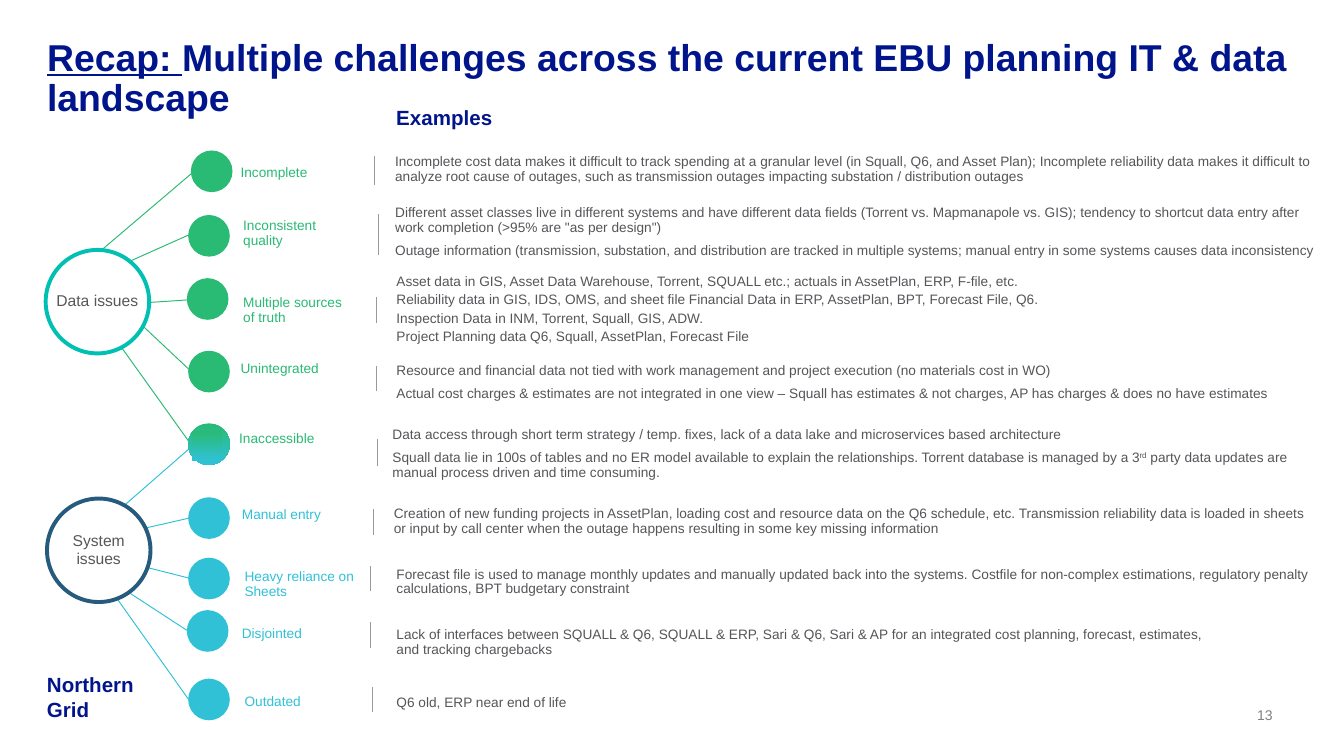
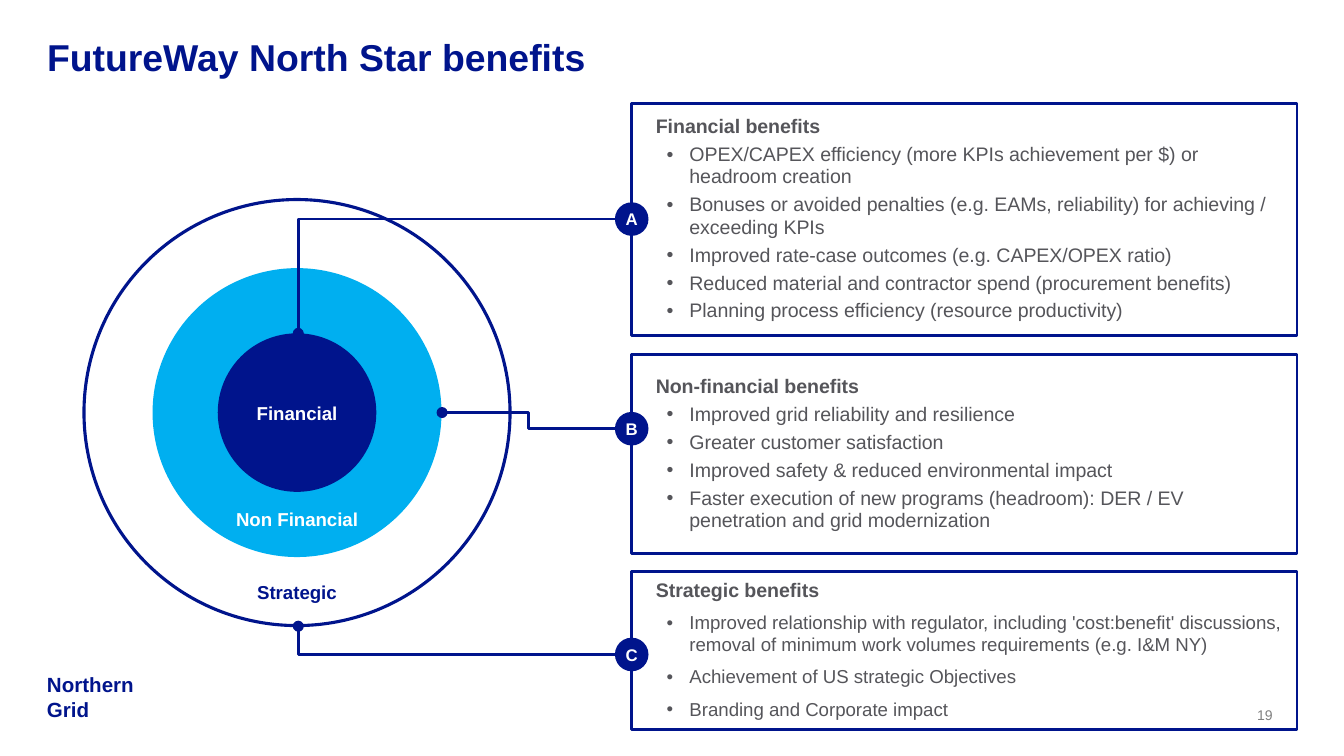
from dataclasses import dataclass
from lxml import etree
from pptx import Presentation
from pptx.dml.color import RGBColor
from pptx.enum import shapes, text
from pptx.oxml import ns
from pptx.util import Inches, Pt


@dataclass(frozen=True)
class Theme:
    font: str = "Arial"
    navy: str = "00148C"
    sky: str = "00AFF0"
    green: str = "29BA74"
    cyan: str = "30C1D7"
    teal: str = "00BFB3"
    steel: str = "265B7D"
    ink: str = "55555A"
    hub_ink: str = "575757"
    tick: str = "9A9A9A"
    number: str = "808080"
    white: str = "FFFFFF"
    title: float = 20
    head: float = 11
    benefit: float = 10.5
    ring: float = 10
    badge: float = 9
    hub: float = 8.4
    number_size: float = 7.5
    small: float = 7.3
    hair: float = 0.52
    rule: float = 1.5
    hub_line: float = 2.1


T = Theme()
BLEND = (T.green, T.cyan)
COMPANY = "Northern Grid"

RECAP = {
    "number": "13",
    "title": ["Recap: ", "Multiple challenges across the current EBU planning IT & data landscape"],
    "title_height": 0.61,
    "heading": "Examples",
}
HUBS = [
    ("Data issues", 0.34, 1.86, T.teal, False),
    ("System issues", 0.35, 3.71, T.steel, True),
]
SPOKES = {
    T.green: [
        (0.8, 2.44, 1.43, 3.32), (0.58, 2.01, 1.45, 1.27), (0.46, 2.17, 1.4, 1.75),
        (1.12, 2.25, 1.42, 2.23), (1.44, 2.78, 0.95, 2.32),
    ],
    T.cyan: [
        (1.43, 3.85, 0.77, 4), (1.43, 3.32, 0.72, 3.94), (0.77, 4.14, 1.4, 4.3),
        (0.67, 4.22, 1.39, 4.69), (0.74, 4.27, 1.4, 5.2),
    ],
}
ISSUES = [
    ("Incomplete", T.green, T.green, (1.42, 1.12), (1.79, 1.23, 0.66, 0.11),
     (2.79, 1.16, 1.38), (2.94, 1.15, 6.96, 0.22), 4.5,
     ["Incomplete cost data makes it difficult to track spending at a granular level (in Squall, Q6, and Asset Plan); Incomplete reliability data makes it difficult to analyze root cause of outages, such as transmission outages impacting substation / distribution outages"]),
    ("Inconsistent quality", T.green, T.green, (1.4, 1.6), (1.81, 1.63, 0.66, 0.22),
     (2.82, 1.59, 1.9), (2.94, 1.53, 6.88, 0.4), 4.5,
     ["Different asset classes live in different systems and have different data fields (Torrent vs. Mapmanapole vs. GIS); tendency to shortcut data entry after work completion (>95% are \"as per design\")",
      "Outage information (transmission, substation, and distribution are tracked in multiple systems; manual entry in some systems causes data inconsistency"]),
    ("Multiple sources of truth", T.green, T.green, (1.39, 2.07), (1.81, 2.2, 0.83, 0.22),
     (2.8, 2.21, 2.4), (2.95, 2.04, 6.88, 0.53), 2,
     ["Asset data in GIS, Asset Data Warehouse, Torrent, SQUALL etc.; actuals in AssetPlan, ERP, F-file, etc.",
      "Reliability data in GIS, IDS, OMS, and sheet file Financial Data in ERP, AssetPlan, BPT, Forecast File, Q6.",
      "Inspection Data in INM, Torrent, Squall, GIS, ADW.",
      "Project Planning data Q6, Squall, AssetPlan, Forecast File"]),
    ("Unintegrated", T.green, T.green, (1.4, 2.61), (1.79, 2.69, 0.83, 0.11),
     (2.8, 2.72, 2.91), (2.95, 2.7, 6.7, 0.29), 4.5,
     ["Resource and financial data not tied with work management and project execution (no materials cost in WO)",
      "Actual cost charges & estimates are not integrated in one view – Squall has estimates & not charges, AP has charges & does no have estimates"]),
    ("Inaccessible", T.green, BLEND, (1.4, 3.15), (1.78, 3.21, 0.83, 0.11),
     (2.81, 3.27, 3.47), (2.92, 3.18, 6.99, 0.4), 4.5,
     ["Data access through short term strategy / temp. fixes, lack of a data lake and microservices based architecture",
      "Squall data lie in 100s of tables and no ER model available to explain the relationships. Torrent database is managed by a 3^rd^ party data updates are manual process driven and time consuming."]),
    ("Manual entry", T.cyan, T.cyan, (1.4, 3.7), (1.8, 3.78, 0.83, 0.11),
     (2.78, 3.79, 3.98), (2.93, 3.77, 6.79, 0.22), 4.5,
     ["Creation of new funding projects in AssetPlan, loading cost and resource data on the Q6 schedule, etc. Transmission reliability data is loaded in sheets or input by call center when the outage happens resulting in some key missing information"]),
    ("Heavy reliance on Sheets", T.cyan, T.cyan, (1.4, 4.15), (1.82, 4.24, 0.83, 0.22),
     (2.76, 4.21, 4.4), (2.95, 4.22, 6.87, 0.22), 4.5,
     ["Forecast file is used to manage monthly updates and manually updated back into the systems. Costfile for non-complex estimations, regulatory penalty calculations, BPT budgetary constraint"]),
    ("Disjointed", T.cyan, T.cyan, (1.39, 4.54), (1.8, 4.66, 0.83, 0.11),
     (2.76, 4.63, 4.82), (2.95, 4.67, 6.17, 0.22), 4.5,
     ["Lack of interfaces between SQUALL & Q6, SQUALL & ERP, Sari & Q6, Sari & AP for an integrated cost planning, forecast, estimates, and tracking chargebacks"]),
    ("Outdated", T.cyan, T.cyan, (1.4, 5.05), (1.82, 5.17, 0.83, 0.11),
     (2.77, 5.11, 5.3), (2.95, 5.18, 5.46, 0.11), 4.5,
     ["Q6 old, ERP near end of life"]),
]

NORTH_STAR = {
    "number": "19",
    "title": ["", "FutureWay North Star benefits"],
    "title_height": 0.3,
}
CENTRE = (2.21, 3.07)
RINGS = [(3.17, None, T.navy, ""), (2.15, T.sky, None, ""), (1.18, T.navy, None, "Financial")]
RING_NAMES = [
    ("Non Financial", T.white, 3.73, 1.12),
    ("Strategic", T.navy, 4.27, 0.8),
]
BENEFITS = [
    ("A", 1.63, 0.77, 1.73, T.white, T.benefit, 3, "bentConnector2", (2.22, 2.48),
     "Financial benefits",
     ["OPEX/CAPEX efficiency (more KPIs achievement per $) or headroom creation",
      "Bonuses or avoided penalties (e.g. EAMs, reliability) for achieving / exceeding KPIs",
      "Improved rate-case outcomes (e.g. CAPEX/OPEX ratio)",
      "Reduced material and contractor spend (procurement benefits)",
      "Planning process efficiency (resource productivity)"]),
    ("B", 3.19, 2.64, 1.48, T.white, T.benefit, 3, "bentConnector3", (3.29, 3.07),
     "Non-financial benefits",
     ["Improved grid reliability and resilience",
      "Greater customer satisfaction",
      "Improved safety & reduced environmental impact",
      "Faster execution of new programs (headroom): DER / EV penetration and grid modernization"]),
    ("C", 4.87, 4.25, 1.18, None, T.ring, 6, "bentConnector2", (2.22, 4.66),
     "Strategic benefits",
     ["Improved relationship with regulator, including 'cost:benefit' discussions, removal of minimum work volumes requirements (e.g. I&M NY)",
      "Achievement of US strategic Objectives",
      "Branding and Corporate impact"]),
]

ALIGN, ANCHOR, PRESET = text.PP_ALIGN, text.MSO_ANCHOR, shapes.MSO_SHAPE


def rgb(value):
    return RGBColor.from_string(value)


def sub(parent, tag, **attributes):
    return etree.SubElement(parent, ns.qn(tag), attributes)


def set_frame(shape, insets=(0, 0, 0, 0), anchor=ANCHOR.MIDDLE, wrap=True):
    frame = shape.text_frame
    frame.word_wrap = wrap
    frame.vertical_anchor = anchor
    frame.margin_left, frame.margin_top, frame.margin_right, frame.margin_bottom = map(Inches, insets)
    return frame


def write(frame, words, size, color, bold=False, align=None, spacing=None,
          before=None, after=None, bullet=False):
    first = frame.paragraphs[0]
    para = frame.add_paragraph() if first.runs else first
    for i, piece in enumerate(words.split("^")):
        run = para.add_run()
        run.text = piece
        if i % 2:
            run._r.get_or_add_rPr().set("baseline", "30000")
    para.alignment, para.line_spacing = align, spacing
    para.space_before = None if before is None else Pt(before)
    para.space_after = None if after is None else Pt(after)
    if bullet:
        para.level = 1
        props = para._p.get_or_add_pPr()
        props.set("marL", str(Inches(0.25)))
        props.set("indent", str(Inches(-0.17)))
        sub(sub(props, "a:buClr"), "a:srgbClr", val=color)
        sub(props, "a:buFont", typeface=T.font)
        sub(props, "a:buChar", char="•")
    font = para.font
    font.name, font.size, font.bold = T.font, Pt(size), bold
    font.color.rgb = rgb(color)
    return para


def add_text(slide, box, **frame_options):
    return set_frame(slide.shapes.add_textbox(*map(Inches, box)), **frame_options)


def add_shape(slide, preset, box, fill=None, line=None, weight=T.rule):
    shape = slide.shapes.add_shape(preset, *map(Inches, box))
    shape.shadow.inherit = False
    if isinstance(fill, tuple):
        shape.fill.gradient()
        shape.fill.gradient_angle = 270
        for stop, color, position in zip(shape.fill.gradient_stops, fill, (0, 1)):
            stop.color.rgb = rgb(color)
            stop.position = position
    elif fill:
        shape.fill.solid()
        shape.fill.fore_color.rgb = rgb(fill)
    else:
        shape.fill.background()
    if line:
        shape.line.color.rgb = rgb(line)
        shape.line.width = Pt(weight)
    else:
        shape.line.fill.background()
    return shape


def add_line(slide, ends, color, weight, kind=shapes.MSO_CONNECTOR.STRAIGHT):
    line = slide.shapes.add_connector(kind, *map(Inches, ends))
    line.line.color.rgb = rgb(color)
    line.line.width = Pt(weight)
    sub(line._element.spPr, "a:effectLst")
    return line


def start_slide(deck, content):
    slide = deck.slides.add_slide(deck.slide_layouts[6])
    number = add_text(slide, (9.16, 5.25, 0.31, 0.13), anchor=ANCHOR.BOTTOM)
    write(number, content["number"], T.number_size, T.number, align=ALIGN.RIGHT)
    company = add_text(slide, (0.35, 5.18, 1, 0.19), anchor=ANCHOR.BOTTOM, wrap=False)
    write(company, COMPANY, T.head, T.navy, bold=True, align=ALIGN.LEFT)
    title = add_text(slide, (0.35, 0.29, 9.29, content["title_height"]), anchor=ANCHOR.TOP)
    lead, rest = content["title"]
    para = write(title, lead or rest, T.title, T.navy, bold=True, spacing=0.9)
    if lead:
        para.runs[0].font.underline = True
        para.add_run().text = rest
    return slide


def build_recap(deck):
    slide = start_slide(deck, RECAP)
    for color, spokes in SPOKES.items():
        for ends in spokes:
            add_line(slide, ends, color, T.hair)
    for name, x, y, ring, wrap in HUBS:
        hub = add_shape(slide, PRESET.OVAL, (x, y, 0.77, 0.77), T.white, ring, T.hub_line)
        write(set_frame(hub, wrap=wrap), name, T.hub, T.hub_ink, align=ALIGN.CENTER, spacing=0.95)
    for label, color, fill, (x, y), label_box, tick, examples_box, after, examples in ISSUES:
        add_shape(slide, PRESET.OVAL, (x, y, 0.31, 0.31), fill)
        if fill == BLEND:
            add_shape(slide, PRESET.RECTANGLE, (x + 0.03, y + 0.06, 0.22, 0.22), fill)
        write(add_text(slide, label_box), label, T.small, color, spacing=0.9, after=after)
        tick_x, top, bottom = tick
        add_line(slide, (tick_x, bottom, tick_x, top), T.tick, T.hair)
        frame = add_text(slide, examples_box)
        for example in examples:
            write(frame, example, T.small, T.ink, spacing=0.9, after=after)
    heading = add_text(slide, (2.85, 0.79, 2.77, 0.17), insets=(0.1, 0.05, 0.1, 0.05))
    write(heading, RECAP["heading"], T.head, T.navy, bold=True)


def build_north_star(deck):
    slide = start_slide(deck, NORTH_STAR)
    cx, cy = CENTRE
    for size, fill, line, name in RINGS:
        ring = add_shape(slide, PRESET.OVAL, (cx - size / 2, cy - size / 2, size, size), fill, line, 1.66)
        if name:
            write(set_frame(ring), name, T.ring, T.white, bold=True, align=ALIGN.CENTER)
    for name, color, top, width in RING_NAMES:
        frame = add_text(slide, (cx - width / 2, top, width, 0.27), insets=(0.1, 0.05, 0.1, 0.05),
                         anchor=ANCHOR.TOP, wrap=False)
        write(frame, name, T.ring, color, bold=True, align=ALIGN.CENTER)
    side, left = 0.25, 4.7
    for badge, y, top, height, fill, size, before, preset, target, heading, bullets in BENEFITS:
        box = add_shape(slide, PRESET.RECTANGLE, (left, top, 4.95, height), fill, T.navy)
        frame = set_frame(box, insets=(0.18, 0.09, 0.09, 0.09))
        write(frame, heading, T.benefit, T.ink, bold=True, align=ALIGN.LEFT, spacing=0.9, before=6)
        for bullet in bullets:
            write(frame, bullet, size, T.ink, align=ALIGN.LEFT, spacing=0.95, before=before, bullet=True)
        elbow = add_line(slide, (left - side / 2, y, *target), T.navy, T.rule,
                         shapes.MSO_CONNECTOR.ELBOW)
        elbow._element.spPr.find(ns.qn("a:prstGeom")).set("prst", preset)
        sub(elbow.line._get_or_add_ln(), "a:tailEnd", type="oval")
        disc = add_shape(slide, PRESET.OVAL, (left - side / 2, y - side / 2, side, side), T.navy)
        write(set_frame(disc), badge, T.badge, T.white, bold=True, align=ALIGN.CENTER)


def main():
    deck = Presentation()
    deck.slide_width = Inches(10)
    deck.slide_height = deck.slide_width * 9 // 16
    build_recap(deck)
    build_north_star(deck)
    deck.save("out.pptx")


if __name__ == "__main__":
    main()
